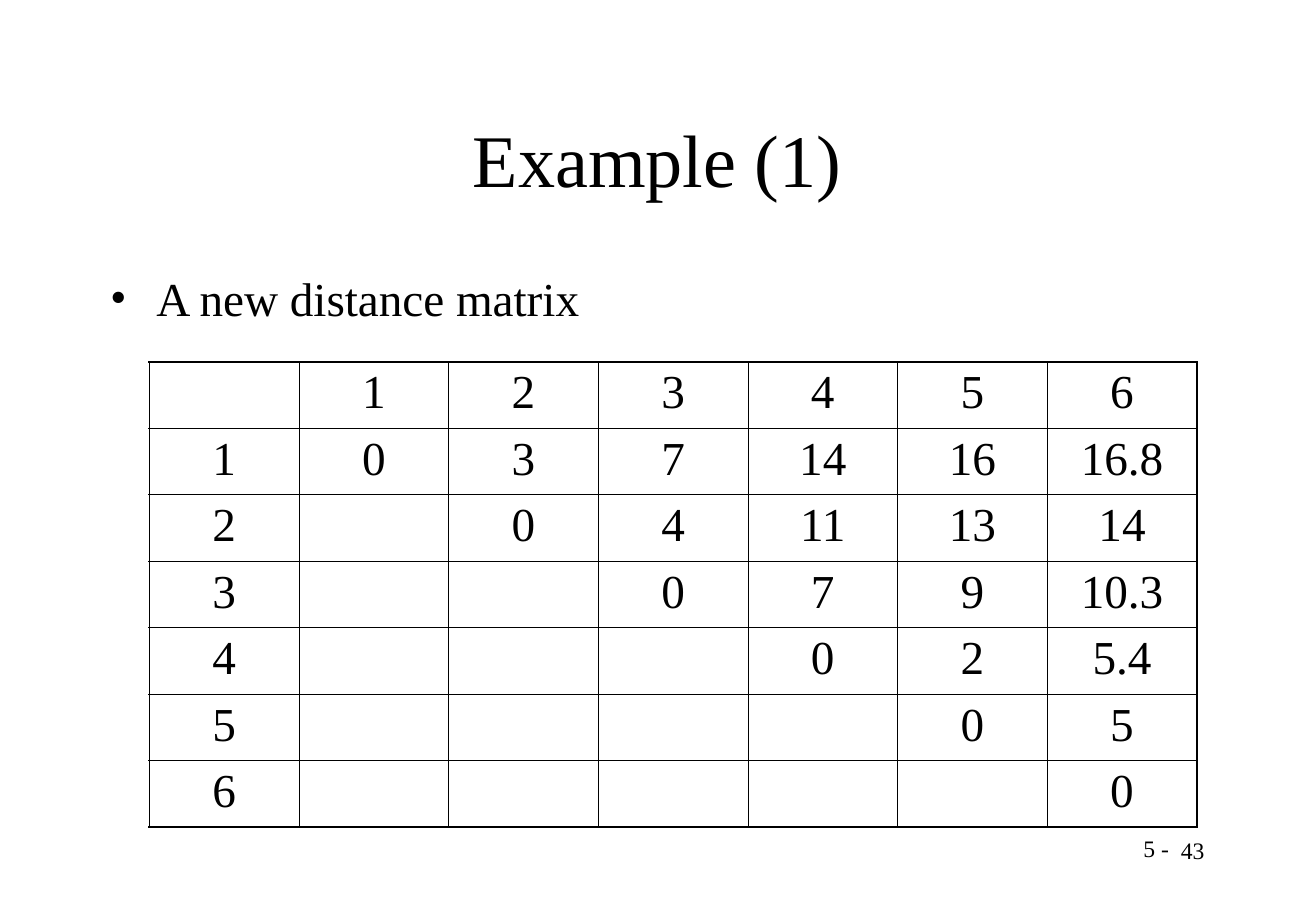
from dataclasses import dataclass

from lxml import etree
from pptx import Presentation
from pptx.dml.color import RGBColor
from pptx.enum.text import MSO_ANCHOR, PP_ALIGN
from pptx.oxml.ns import qn
from pptx.slide import Slide
from pptx.table import _Cell
from pptx.text.text import _Paragraph
from pptx.util import Inches, Pt

LEFT, CENTER, RIGHT = PP_ALIGN.LEFT, PP_ALIGN.CENTER, PP_ALIGN.RIGHT
TOP, MIDDLE = MSO_ANCHOR.TOP, MSO_ANCHOR.MIDDLE
FONT = "Times New Roman"
BLACK = "000000"
THIN, THICK = 0.45, 1.08
HANGING = 0.38
MATRIX_AT = (1.23, 2.98, 8.63, 3.73)
CELL_FORMAT = {
    "margin_left": Inches(0.1),
    "margin_right": Inches(0.1),
    "margin_top": Inches(0.04),
    "margin_bottom": Inches(0.04),
    "vertical_anchor": TOP,
}
DISTANCES = [
    ["0", "3", "7", "14", "16", "16.8"],
    ["0", "4", "11", "13", "14"],
    ["0", "7", "9", "10.3"],
    ["0", "2", "5.4"],
    ["0", "5"],
    ["0"],
]


@dataclass
class Label:
    text: str
    at: tuple[float, float, float, float]
    size: float
    align: PP_ALIGN
    anchor: MSO_ANCHOR = TOP
    bulleted: bool = False


LABELS = [
    Label("Example (1)", (0.81, 0.67, 9.21, 1.25), 44, CENTER, MIDDLE),
    Label("A new distance matrix", (0.81, 2.17, 8.87, 4.5), 28, LEFT, bulleted=True),
    Label("5 -", (7.81, 6.82, 3.43, 0.5), 14, CENTER),
    Label("43", (7.76, 6.83, 2.26, 0.5), 14, RIGHT),
]


def color(value: str) -> RGBColor:
    """Turn a hex string into a colour."""
    return RGBColor.from_string(value)


def write(paragraph: _Paragraph, text: str, size: float, align: PP_ALIGN) -> None:
    """Put formatted text into a paragraph."""
    paragraph.text = text
    paragraph.alignment = align
    for name, value in {"name": FONT, "size": Pt(size)}.items():
        setattr(paragraph.font, name, value)
    paragraph.font.color.rgb = color(BLACK)


def add_bullet(paragraph: _Paragraph) -> None:
    """Give a paragraph a hanging bullet."""
    properties = paragraph._p.get_or_add_pPr()
    properties.set("marL", str(Inches(HANGING)))
    properties.set("indent", str(-Inches(HANGING)))
    etree.SubElement(properties, qn("a:buFont"), typeface=FONT)
    etree.SubElement(properties, qn("a:buChar"), char="•")


def add_label(slide: Slide, label: Label) -> None:
    """Draw one text box."""
    frame = slide.shapes.add_textbox(*map(Inches, label.at)).text_frame
    frame.word_wrap = True
    frame.vertical_anchor = label.anchor
    paragraph = frame.paragraphs[0]
    if label.bulleted:
        add_bullet(paragraph)
    write(paragraph, label.text, label.size, label.align)


def add_borders(cell: _Cell, outer_sides: dict[str, bool]) -> None:
    """Line the four sides of a cell, thicker on the outside."""
    properties = cell._tc.get_or_add_tcPr()
    for side, is_outer in outer_sides.items():
        width = Pt(THICK if is_outer else THIN)
        line = etree.SubElement(properties, qn(f"a:{side}"), w=str(width))
        fill = etree.SubElement(line, qn("a:solidFill"))
        etree.SubElement(fill, qn("a:srgbClr"), val=BLACK)


def add_matrix(slide: Slide) -> None:
    """Draw the upper triangular distance matrix."""
    count = len(DISTANCES) + 1
    left, top, width, height = map(Inches, MATRIX_AT)
    matrix = slide.shapes.add_table(count, count, left, top, width, height).table
    matrix.first_row = matrix.horz_banding = False
    header = [""] + [str(number) for number in range(1, count)]
    rows = [header] + [
        [str(number)] + [""] * (number - 1) + distances
        for number, distances in enumerate(DISTANCES, 1)
    ]
    for row, texts in enumerate(rows):
        for column, text in enumerate(texts):
            cell = matrix.cell(row, column)
            add_borders(cell, {
                "lnL": column == 0,
                "lnR": column == count - 1,
                "lnT": row == 0,
                "lnB": row == count - 1,
            })
            cell.fill.background()
            for name, value in CELL_FORMAT.items():
                setattr(cell, name, value)
            if text:
                write(cell.text_frame.paragraphs[0], text, 28, CENTER)


def main() -> None:
    """Build and save the slide."""
    presentation = Presentation()
    presentation.slide_width = Inches(10.84)
    presentation.slide_height = Inches(7.5)
    slide = presentation.slides.add_slide(presentation.slide_layouts[6])
    for label in LABELS[:2]:
        add_label(slide, label)
    add_matrix(slide)
    for label in LABELS[2:]:
        add_label(slide, label)
    presentation.save("out.pptx")


if __name__ == "__main__":
    main()
